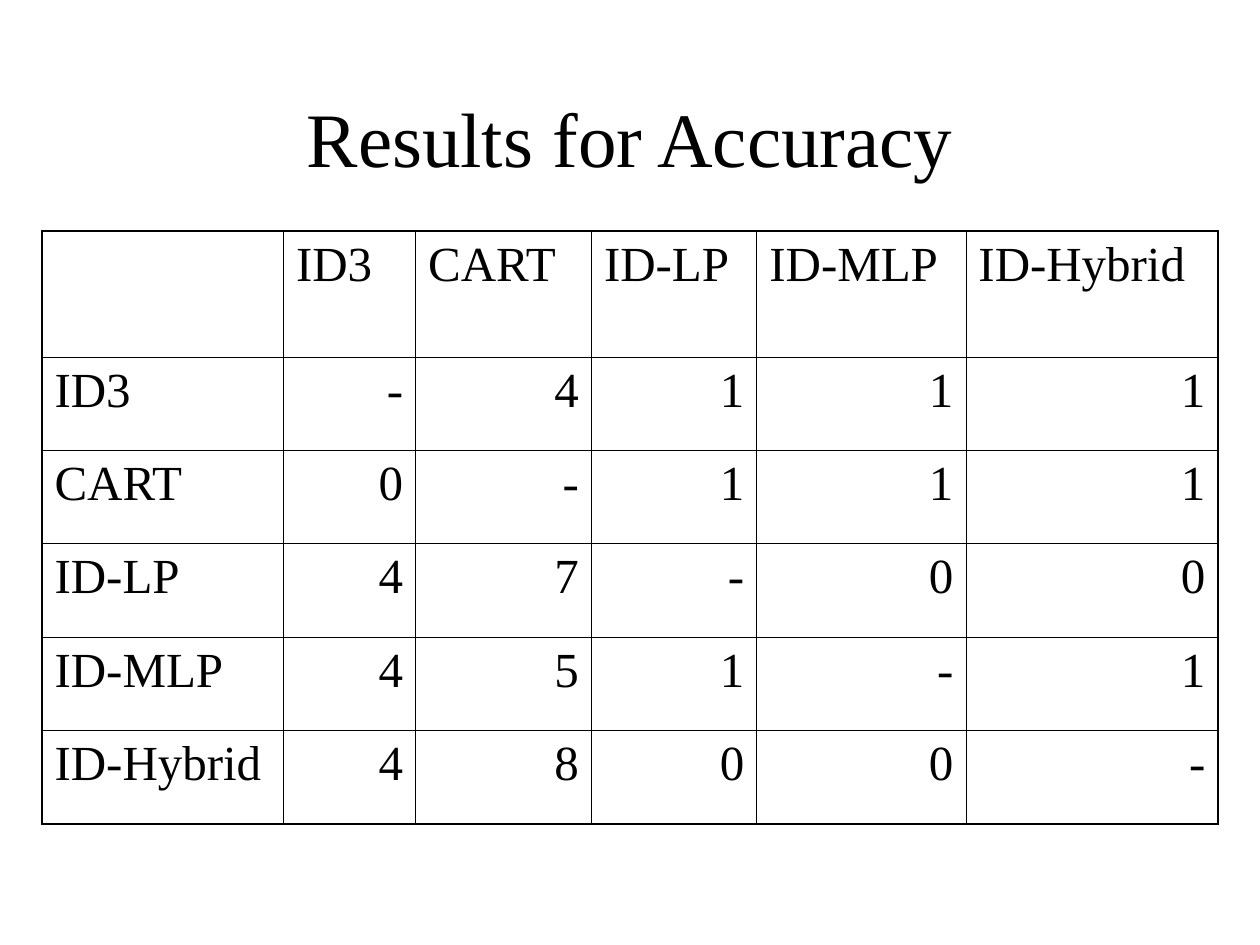
from dataclasses import dataclass

from lxml import etree
from pptx import Presentation
from pptx.dml.color import RGBColor
from pptx.enum.text import MSO_ANCHOR, PP_ALIGN
from pptx.oxml.ns import qn
from pptx.util import Pt

LEFT, CENTER, RIGHT = PP_ALIGN.LEFT, PP_ALIGN.CENTER, PP_ALIGN.RIGHT
TOP, MIDDLE = MSO_ANCHOR.TOP, MSO_ANCHOR.MIDDLE
TITLE_ONLY = 5

METHODS = ["ID3", "CART", "ID-LP", "ID-MLP", "ID-Hybrid"]
SCORES = ["-4111", "0-111", "47-00", "451-1", "4800-"]  # one character per column
COLUMN_WIDTHS = [138, 75.5, 100.5, 94.5, 119.5, 144]
ROW_HEIGHTS = [72] + [53.4] * len(METHODS)


@dataclass(frozen=True)
class Theme:
    font: str = "Times New Roman"
    ink: str = "000000"
    title_size: float = 44
    cell_size: float = 28
    outer_line: float = 1.08
    inner_line: float = 0.45


class SlideBuilder:
    def __init__(self, slide, theme):
        self.slide = slide
        self.theme = theme

    def add_text(self, frame, text, size, align):
        paragraph = frame.paragraphs[0]
        paragraph.alignment = align
        paragraph.space_before = Pt(0)
        if not text:
            return
        run = paragraph.add_run()
        run.text = text
        font_format = {"name": self.theme.font, "size": Pt(size), "bold": False}
        for attribute, value in font_format.items():
            setattr(run.font, attribute, value)
        run.font.color.rgb = RGBColor.from_string(self.theme.ink)

    def title(self, text, left, top, width, height):
        heading = self.slide.shapes.title
        box = {"left": left, "top": top, "width": width, "height": height}
        for attribute, value in box.items():
            setattr(heading, attribute, Pt(value))
        heading.text_frame.vertical_anchor = MIDDLE
        self.add_text(heading.text_frame, text, self.theme.title_size, CENTER)

    def border(self, cell, side, width):
        """Draw one cell edge; side is L, R, T or B."""
        line = etree.SubElement(cell._tc.get_or_add_tcPr(), qn(f"a:ln{side}"), w=str(Pt(width)))
        fill = etree.SubElement(line, qn("a:solidFill"))
        etree.SubElement(fill, qn("a:srgbClr"), val=self.theme.ink)

    def table(self, rows, left, top, widths, heights):
        grid = self.slide.shapes.add_table(
            len(rows), len(widths), Pt(left), Pt(top), Pt(sum(widths)), Pt(sum(heights))
        ).table
        grid.first_row = grid.horz_banding = False
        for column, width in zip(grid.columns, widths):
            column.width = Pt(width)
        for row, height in zip(grid.rows, heights):
            row.height = Pt(height)
        last_row, last_column = len(rows) - 1, len(widths) - 1
        for r, values in enumerate(rows):
            for c, value in enumerate(values):
                cell = grid.cell(r, c)
                cell.vertical_anchor = TOP
                outer = {"L": c == 0, "R": c == last_column, "T": r == 0, "B": r == last_row}
                for side, is_outer in outer.items():
                    width = self.theme.outer_line if is_outer else self.theme.inner_line
                    self.border(cell, side, width)
                cell.fill.background()
                align = RIGHT if r and c else LEFT
                self.add_text(cell.text_frame, value, self.theme.cell_size, align)


def main():
    deck = Presentation()
    deck.slide_width, deck.slide_height = Pt(720), Pt(540)
    slide = deck.slides.add_slide(deck.slide_layouts[TITLE_ONLY])
    builder = SlideBuilder(slide, Theme())
    builder.title("Results for Accuracy", 54, 48, 612, 60)
    rows = [["", *METHODS]] + [[method, *scores] for method, scores in zip(METHODS, SCORES)]
    builder.table(rows, 24, 132, COLUMN_WIDTHS, ROW_HEIGHTS)
    deck.save("out.pptx")


if __name__ == "__main__":
    main()
